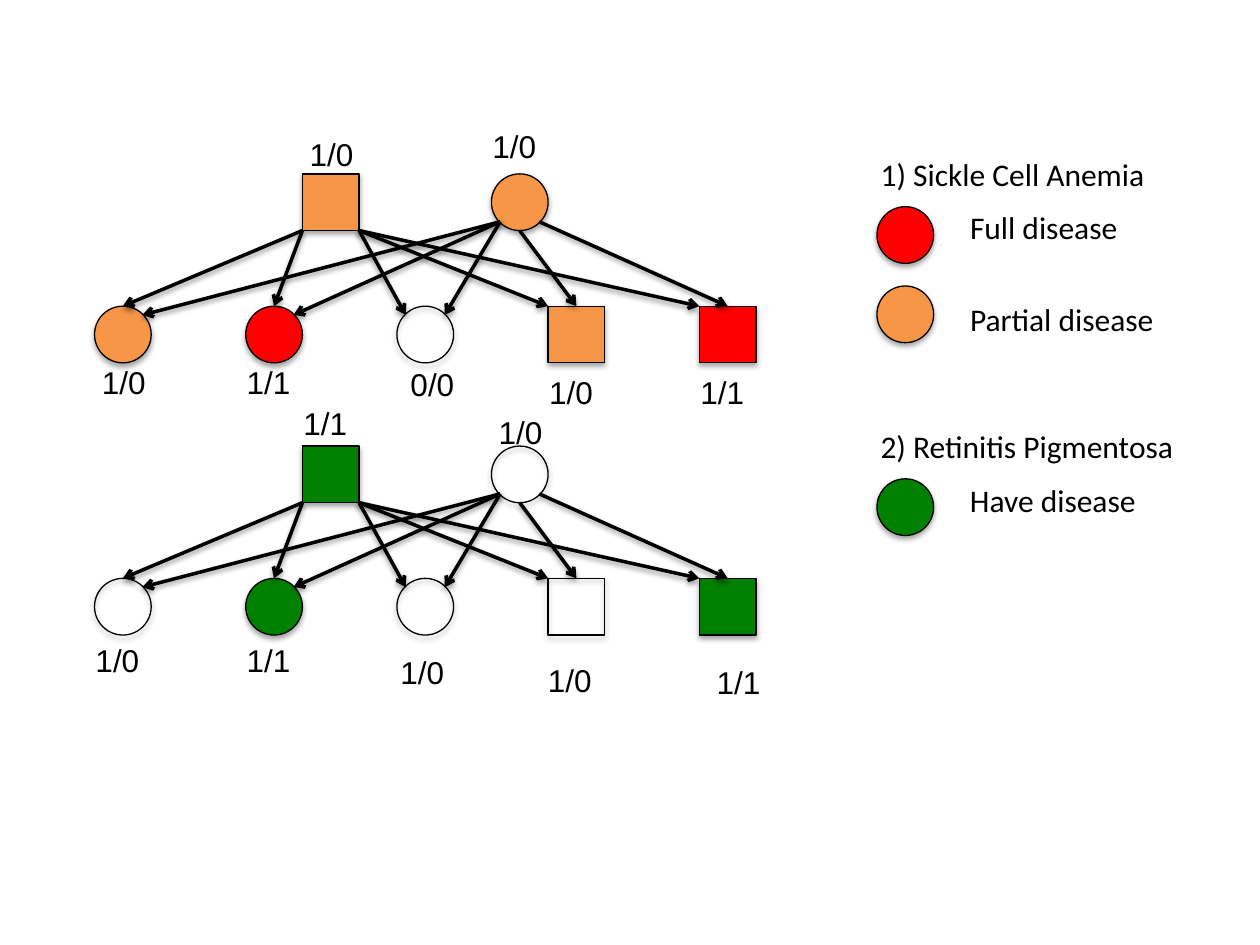
from dataclasses import dataclass

from lxml import etree
from pptx import Presentation
from pptx import util as u
from pptx.dml.color import RGBColor
from pptx.enum import shapes, text
from pptx.oxml import ns


@dataclass(frozen=True)
class Theme:
    """Colours, fonts and sizes of the slide."""
    ink: str = "000000"
    red: str = "FF0000"
    orange: str = "F79646"
    green: str = "008000"
    legend_font: str = "Calibri"
    genotype_font: str = "Arial"
    text_size: int = 18
    outline: float = 0.75
    arrow: float = 2
    symbol: float = 0.45


THEME = Theme()
CIRCLE = shapes.MSO_SHAPE.OVAL
SQUARE = shapes.MSO_SHAPE.RECTANGLE


def write(frame, content, font=THEME.legend_font, size=THEME.text_size,
          color=THEME.ink, wrap=False):
    """Fill a text frame with one formatted paragraph."""
    frame.word_wrap = wrap
    frame.auto_size = text.MSO_AUTO_SIZE.NONE if wrap else text.MSO_AUTO_SIZE.SHAPE_TO_FIT_TEXT
    run = frame.paragraphs[0].add_run()
    run.text = content
    run.font.name = font
    run.font.size = u.Pt(size)
    run.font.color.rgb = RGBColor.from_string(color)


def add_shadow(properties, opacity, distance):
    """Give shape properties a soft shadow that falls straight down."""
    effects = etree.SubElement(properties, ns.qn("a:effectLst"))
    shadow = etree.SubElement(effects, ns.qn("a:outerShdw"), blurRad=str(u.Pt(3.1)),
                              dist=str(u.Pt(distance)), dir="5400000", rotWithShape="0")
    tint = etree.SubElement(shadow, ns.qn("a:srgbClr"), val=THEME.ink)
    etree.SubElement(tint, ns.qn("a:alpha"), val=str(opacity * 1000))


class Canvas:
    """Draws styled elements on the current slide."""

    def __init__(self, slide, theme):
        """Keep the slide and its style."""
        self.slide = slide
        self.theme = theme

    def group(self):
        """Start a group and return its shapes."""
        return self.slide.shapes.add_group_shape().shapes

    def symbol(self, kind, left, top, fill=None, parent=None):
        """Add a person or legend symbol."""
        size = u.Inches(self.theme.symbol)
        parent = self.slide.shapes if parent is None else parent
        person = parent.add_shape(kind, u.Inches(left), u.Inches(top), size, size)
        if fill:
            person.fill.solid()
            person.fill.fore_color.rgb = RGBColor.from_string(fill)
        else:
            person.fill.background()
        person.line.color.rgb = RGBColor.from_string(self.theme.ink)
        person.line.width = u.Pt(self.theme.outline)
        add_shadow(person._element.spPr, 35, 1.8)

    def arrow(self, start, end, parent):
        """Add an arrow from parent to child."""
        ends = [u.Inches(value) for value in (*start, *end)]
        descent = parent.add_connector(shapes.MSO_CONNECTOR.STRAIGHT, *ends)
        descent.line.color.rgb = RGBColor.from_string(self.theme.ink)
        descent.line.width = u.Pt(self.theme.arrow)
        etree.SubElement(descent.line._get_or_add_ln(), ns.qn("a:tailEnd"), type="arrow")
        add_shadow(descent._element.spPr, 38, 1.6)

    def label(self, content, left, top, width, height=0.4, **style):
        """Add a text box."""
        box = self.slide.shapes.add_textbox(*map(u.Inches, (left, top, width, height)))
        write(box.text_frame, content, **style)

    def pedigree(self, top, parents, children, genotypes):
        """Add a family of two parents and five children."""
        family = self.group()
        size, inset = self.theme.symbol, 0.07
        father, mother, child_top = 2.4, 3.9, top + 1.05
        child_lefts = [0.75 + 1.2 * i for i in range(5)]
        kinds = [CIRCLE] * 3 + [SQUARE] * 2
        for kind, left, fill in zip((SQUARE, CIRCLE), (father, mother), parents):
            self.symbol(kind, left, top, fill, family)
        for kind, left, fill in zip(kinds, child_lefts, children):
            self.symbol(kind, left, child_top, fill, family)

        base, rim = top + size, top + size - inset
        father_left, father_right = (father, base), (father + size, base)
        mother_left, mother_right = (mother + inset, rim), (mother + size - inset, rim)
        mother_base = (mother + size / 2, base)
        crown = [(left + size / 2, child_top) for left in child_lefts]
        left_edge = [(left + inset, child_top + inset) for left in child_lefts]
        right_edge = [(left + size - inset, child_top + inset) for left in child_lefts]
        corner = [(left, child_top) for left in child_lefts]
        for start, end in (
            (father_left, crown[0]), (father_left, crown[1]),
            (father_right, left_edge[2]), (father_right, corner[3]), (father_right, corner[4]),
            (mother_left, right_edge[0]), (mother_left, right_edge[1]),
            (mother_left, right_edge[2]), (mother_base, crown[3]), (mother_right, crown[4]),
        ):
            self.arrow(start, end, family)
        for genotype, left, label_top in genotypes:
            self.label(genotype, left, label_top, 0.56, 0.38,
                       font=self.theme.genotype_font, wrap=True)

    def legend(self, top, heading, width, entries):
        """Add a heading with its colour key."""
        self.label(heading, 6.89, top, width)
        for meaning, fill, symbol_top, label_top, label_width in entries:
            self.symbol(CIRCLE, 6.96, symbol_top, fill)
            self.label(meaning, 7.6, label_top, label_width)


deck = Presentation()
deck.slide_width, deck.slide_height = u.Inches(10), u.Inches(7.5)
canvas = Canvas(deck.slides.add_slide(deck.slide_layouts[6]), THEME)

canvas.pedigree(
    1.38, (THEME.orange, THEME.orange),
    (THEME.orange, THEME.red, None, THEME.orange, THEME.red),
    (("1/0", 2.36, 1.02), ("1/0", 3.81, 0.96), ("1/0", 0.71, 2.83), ("1/1", 1.86, 2.83),
     ("0/0", 3.16, 2.85), ("1/0", 4.26, 2.91), ("1/1", 5.46, 2.91)))
canvas.legend(1.18, "1) Sickle Cell Anemia", 2.32, (
    ("Full disease", THEME.red, 1.64, 1.6, 1.38),
    ("Partial disease", THEME.orange, 2.27, 2.33, 1.68)))
canvas.pedigree(
    3.54, (THEME.green, None), (None, THEME.green, None, None, THEME.green),
    (("1/1", 2.31, 3.16), ("1/0", 3.86, 3.23), ("1/0", 0.66, 5.04), ("1/1", 1.86, 5.04),
     ("1/0", 3.08, 5.13), ("1/0", 4.25, 5.2), ("1/1", 5.59, 5.21)))
canvas.legend(3.34, "2) Retinitis Pigmentosa", 2.56, (
    ("Have disease", THEME.green, 3.8, 3.77, 1.54),))

deck.save("out.pptx")
